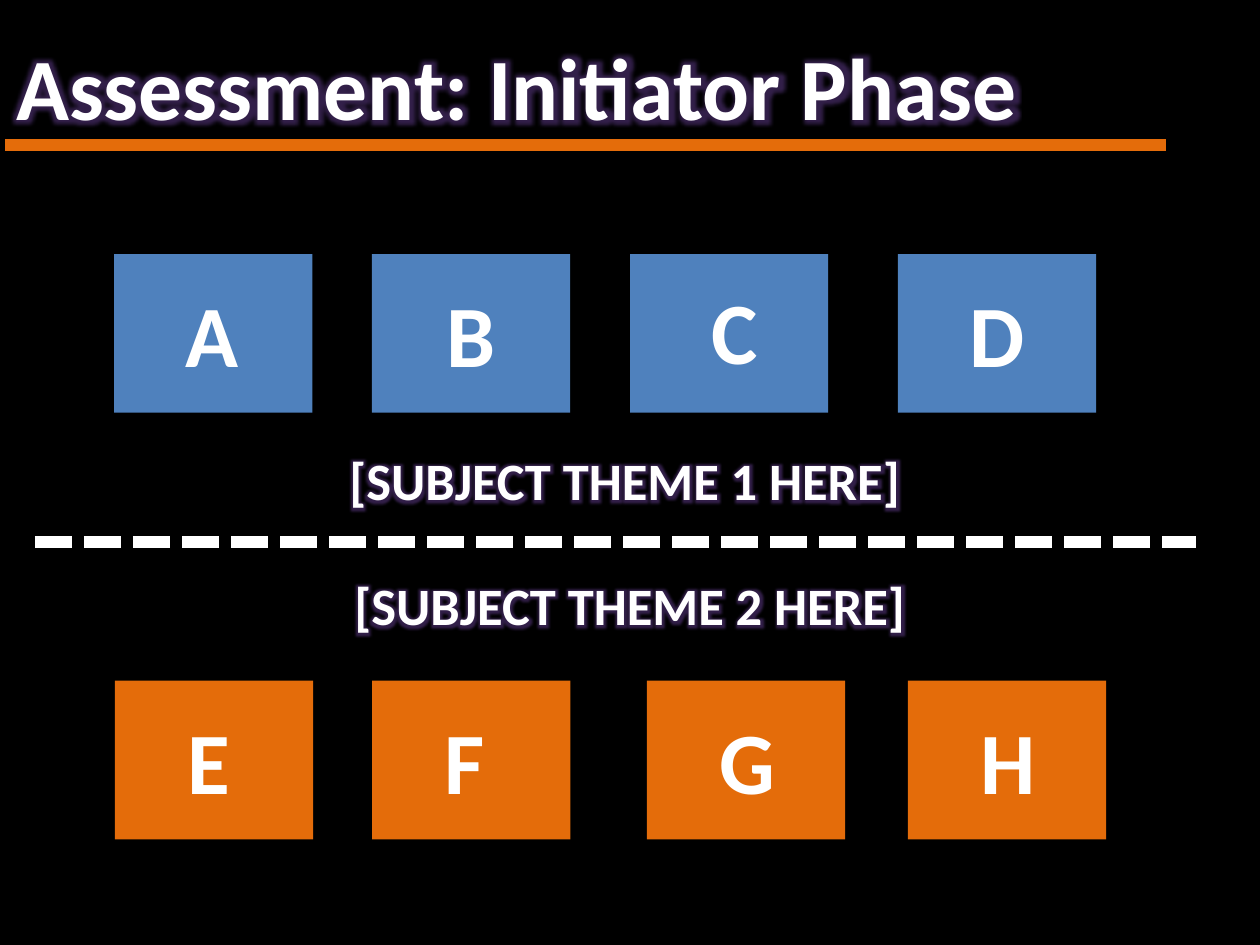
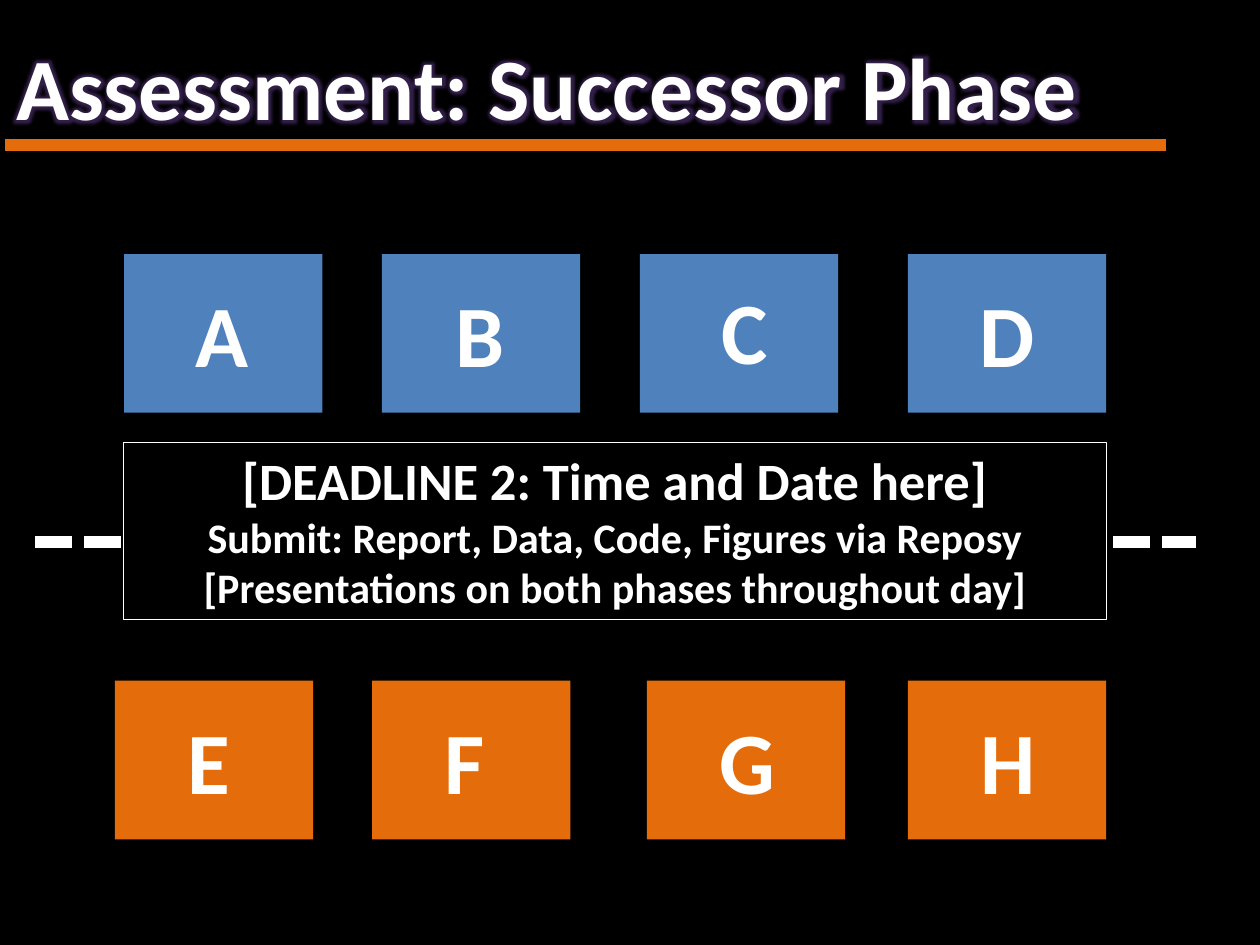
from dataclasses import dataclass

from lxml.etree import SubElement as Sub
from pptx import Presentation
from pptx.dml.color import RGBColor as Rgb
from pptx.enum.dml import MSO_LINE as Dash
from pptx.enum.shapes import MSO_CONNECTOR as Link, MSO_SHAPE as Form
from pptx.enum.text import MSO_ANCHOR as Anchor, MSO_AUTO_SIZE as Fit, PP_ALIGN as Align
from pptx.oxml.ns import qn
from pptx.util import Pt


@dataclass(frozen=True)
class Theme:
    """Colours, font and type sizes of the deck."""
    back: str = "000000"
    text: str = "FFFFFF"
    blue: str = "4F81BD"
    orange: str = "E46C0A"
    glow: str = "7F4FB8"
    font: str = "Calibri"
    big: int = 50
    mid: int = 30
    small: int = 24
    rule: int = 7


TILE = (113.3, 90.7)
LETTER = (45.4, 67.7)
BLUE_TOP, ORANGE_TOP = 145.2, 389
# Each tile: letter, left edge, then the letter's offset inside the tile.
BLUE = [("A", 65.2, 34, 11.5), ("B", 212.5, 35.3, 11.5),
        ("C", 360, 39.6, 9.4), ("D", 513.1, 34, 11.5)]
ORANGE = [("E", 65.7, 34.5, 11.5), ("F", 212.6, 34.5, 11.5),
          ("G", 369.7, 34.5, 11.5), ("H", 518.8, 34.5, 11.5)]


class Deck:
    """Holds the style and the current slide."""

    def __init__(self, theme):
        """Start an empty deck of 10 by 7.5 inches."""
        self.theme = theme
        self.show = Presentation()
        self.show.slide_width, self.show.slide_height = Pt(720), Pt(540)
        self.slide = None

    def page(self, title, width):
        """Add a slide with its title, title rule and dashed divider."""
        self.slide = self.show.slides.add_slide(self.show.slide_layouts[6])
        fill = self.slide.background.fill
        fill.solid()
        fill.fore_color.rgb = Rgb.from_string(self.theme.back)
        self.line(20, 683.5, 309.6, self.theme.text, Dash.SQUARE_DOT)
        self.line(3, 666.3, 82.8, self.theme.orange)
        self.text((2.2, 15.1, width, 67.7), [(title, self.theme.big)], glow=True)

    def line(self, left, right, y, tint, dash=None):
        """Draw a thick level line."""
        rule = self.slide.shapes.add_connector(
            Link.STRAIGHT, Pt(left), Pt(y), Pt(right), Pt(y))
        rule.line.color.rgb = Rgb.from_string(tint)
        rule.line.width = Pt(self.theme.rule)
        if dash:
            rule.line.dash_style = dash
        Sub(rule._element.spPr, qn("a:effectLst"))

    def box(self, at, fill, edge=None, host=None):
        """Draw a flat box on the slide or in a group."""
        home = host or self.slide
        shape = home.shapes.add_shape(Form.RECTANGLE, *map(Pt, at))
        shape.shadow.inherit = False
        shape.fill.solid()
        shape.fill.fore_color.rgb = Rgb.from_string(fill)
        if edge:
            shape.line.color.rgb = Rgb.from_string(edge)
            shape.line.width = Pt(0.75)
        else:
            shape.line.fill.background()
        return shape

    def text(self, at, lines, align=Align.LEFT, glow=False, host=None):
        """Add a text box of (words, size) lines."""
        home = host or self.slide
        shape = home.shapes.add_textbox(*map(Pt, at))
        self.label(shape, lines, align, glow)

    def label(self, shape, lines, align, glow=False):
        """Fill a shape with bold (words, size) lines."""
        frame = shape.text_frame
        frame.text = "\n".join(words for words, _ in lines)
        frame.word_wrap = True
        frame.auto_size = Fit.SHAPE_TO_FIT_TEXT
        frame.vertical_anchor = Anchor.TOP
        for par, (_, size) in zip(frame.paragraphs, lines):
            par.alignment = align
            for run in par.runs:
                font = run.font
                font.name, font.size, font.bold = self.theme.font, Pt(size), True
                font.color.rgb = Rgb.from_string(self.theme.text)
                if glow:
                    self.halo(run)

    def halo(self, run):
        """Put a soft glow around a run."""
        props = run._r.rPr
        effect = Sub(props, qn("a:effectLst"))
        props.find(qn("a:solidFill")).addnext(effect)
        ring = Sub(effect, qn("a:glow"), rad=str(Pt(8)))
        tint = Sub(ring, qn("a:srgbClr"), val=self.theme.glow)
        Sub(tint, qn("a:alpha"), val="40000")

    def row(self, tiles, top, fill, shift=0):
        """Draw a grouped row of lettered tiles."""
        group = self.slide.shapes.add_group_shape()
        for letter, left, dx, dy in tiles:
            left += shift
            self.box((left, top, *TILE), fill, host=group)
            self.text((left + dx, top + dy, *LETTER),
                      [(letter, self.theme.big)], host=group)

    def rows(self, shift=0):
        """Draw the blue row, moved by shift, and the orange row."""
        self.row(BLUE, BLUE_TOP, self.theme.blue, shift)
        self.row(ORANGE, ORANGE_TOP, self.theme.orange)

    def topic(self, words, at):
        """Add a centred subject line."""
        self.text(at, [(words, self.theme.mid)], Align.CENTER, glow=True)

    def notice(self, at, lines):
        """Add a framed box of centred lines."""
        shape = self.box(at, self.theme.back, self.theme.text)
        self.label(shape, lines, Align.CENTER)


def main():
    """Build both slides and save them."""
    theme = Theme()
    deck = Deck(theme)

    deck.page("Assessment: Initiator Phase", 681)
    deck.rows()
    deck.topic("[SUBJECT THEME 1 HERE]", (121.7, 252.7, 470.9, 43.6))
    deck.topic("[SUBJECT THEME 2 HERE]", (144.7, 324, 430.6, 43.6))

    deck.page("Assessment: Successor Phase", 703.4)
    deck.rows(shift=5.7)
    deck.notice((70.6, 252.7, 561.6, 101.5), [
        ("[DEADLINE 2: Time and Date here]", theme.mid),
        ("Submit: Report, Data, Code, Figures via Reposy", theme.small),
        ("[Presentations on both phases throughout day]", theme.small)])

    deck.show.save("out.pptx")


main()
